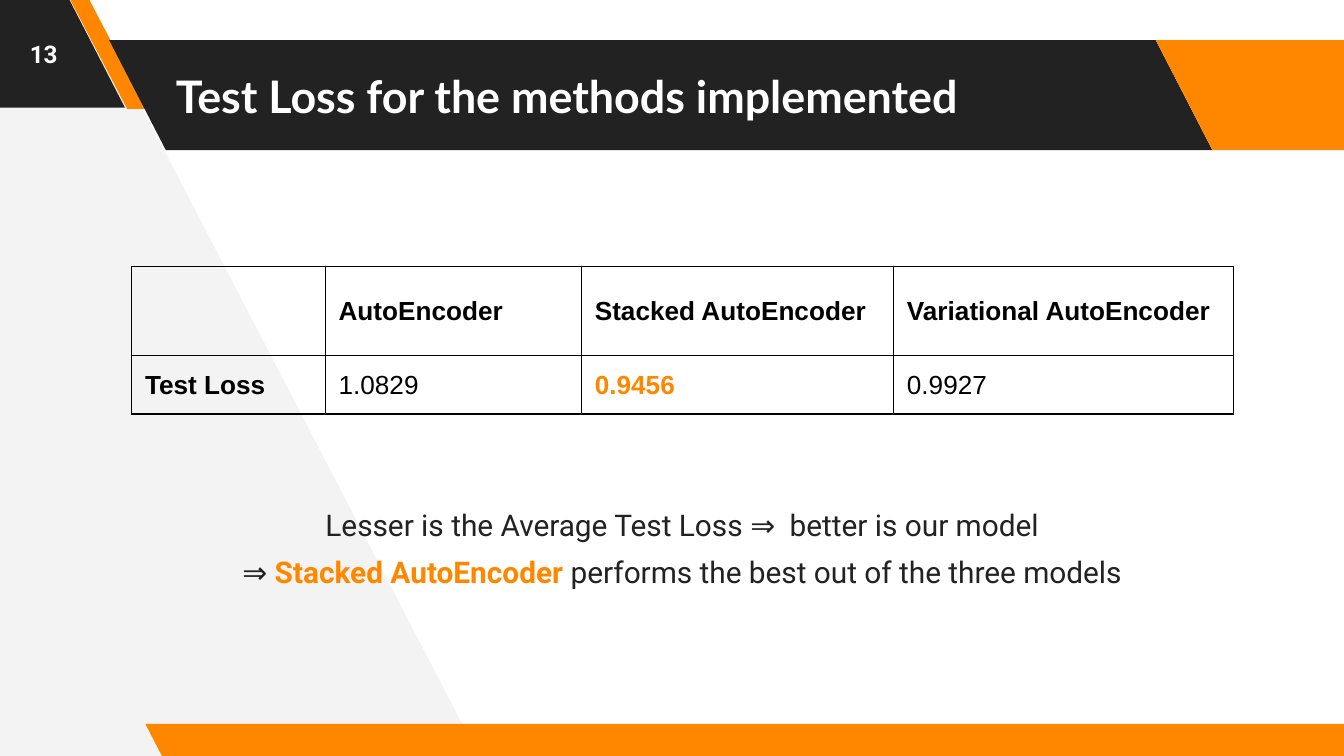
from dataclasses import dataclass

from lxml import etree
from pptx import Presentation
from pptx.dml.color import RGBColor
from pptx.enum.shapes import MSO_SHAPE
from pptx.enum.text import MSO_ANCHOR, PP_ALIGN
from pptx.oxml.ns import qn
from pptx.util import Pt

PARALLELOGRAM = MSO_SHAPE.PARALLELOGRAM
MIDDLE, TOP = MSO_ANCHOR.MIDDLE, MSO_ANCHOR.TOP
LEFT, CENTER = PP_ALIGN.LEFT, PP_ALIGN.CENTER

WHITE = RGBColor(0xFF, 0xFF, 0xFF)
BLACK = RGBColor(0, 0, 0)
PALE_GREY = RGBColor(0xF3, 0xF3, 0xF3)
CHARCOAL = RGBColor(0x22, 0x22, 0x22)
ORANGE = RGBColor(0xFF, 0x87, 0x00)

INSET = Pt(7.2)
BORDER_WIDTH = Pt(0.75)


@dataclass(frozen=True)
class Box:
    left: float
    top: float
    width: float
    height: float

    def lengths(self):
        return Pt(self.left), Pt(self.top), Pt(self.width), Pt(self.height)


@dataclass(frozen=True)
class Band:
    box: Box
    color: RGBColor
    slant: float = 0.515


@dataclass(frozen=True)
class Run:
    text: str
    color: RGBColor
    bold: bool = False


BACKDROP = [(256.3, 404.6), (44.6, -2.9), (-4.3, -2.9), (-1.4, 407.5)]
BANDS = [
    Band(Box(-71.3, -1.4, 138.2, 59), CHARCOAL),
    Band(Box(37.4, -0.7, 41, 59), ORANGE, 0.75),
    Band(Box(58.5, 21.5, 591, 59), CHARCOAL),
    Band(Box(619.2, 21.5, 138.2, 59), ORANGE),
    Band(Box(77.9, 387.8, 658.8, 18), ORANGE),
]

COLUMN_WIDTHS = [103.7, 137.3, 167.2, 182]
ROW_HEIGHTS = [48, 31]
TABLE_BOX = Box(70.5, 142.6, sum(COLUMN_WIDTHS), sum(ROW_HEIGHTS))
TABLE_ROWS = [
    [None, Run("AutoEncoder", BLACK, True), Run("Stacked AutoEncoder", BLACK, True),
     Run("Variational AutoEncoder", BLACK, True)],
    [Run("Test Loss", BLACK, True), Run("1.0829", BLACK), Run("0.9456", ORANGE, True),
     Run("0.9927", BLACK)],
]

CONCLUSION = [
    [Run("Lesser is the Average Test Loss ⇒  better is our model", CHARCOAL)],
    [Run("⇒ ", CHARCOAL), Run("Stacked AutoEncoder", ORANGE, True),
     Run(" performs the best out of the three models", CHARCOAL)],
]


def paint(shape, color: RGBColor) -> None:
    shape.shadow.inherit = False
    shape.fill.solid()
    shape.fill.fore_color.rgb = color
    shape.line.fill.background()


def add_backdrop(slide) -> None:
    points = [(Pt(x), Pt(y)) for x, y in BACKDROP]
    builder = slide.shapes.build_freeform(*points[0])
    builder.add_line_segments(points[1:], close=True)
    paint(builder.convert_to_shape(), PALE_GREY)


def add_band(slide, band: Band) -> None:
    """Draw a parallelogram that leans to the left."""
    shape = slide.shapes.add_shape(PARALLELOGRAM, *band.box.lengths())
    shape.adjustments[0] = band.slant
    shape.element.spPr.find(qn("a:xfrm")).set("flipH", "1")
    paint(shape, band.color)


def write_text(text_frame, lines: list[list[Run]], *, font: str, size: float,
               align=LEFT, space_before: float = 0) -> None:
    for index, runs in enumerate(lines):
        paragraph = text_frame.paragraphs[0] if index == 0 else text_frame.add_paragraph()
        paragraph.alignment = align
        paragraph.space_before = Pt(space_before)
        for item in runs:
            run = paragraph.add_run()
            run.text = item.text
            run.font.name = font
            run.font.size = Pt(size)
            run.font.bold = item.bold
            run.font.color.rgb = item.color


def add_text_box(slide, box: Box, lines: list[list[Run]], *, anchor=MIDDLE, **text_format) -> None:
    text_frame = slide.shapes.add_textbox(*box.lengths()).text_frame
    text_frame.word_wrap = True
    text_frame.vertical_anchor = anchor
    text_frame.margin_left = text_frame.margin_right = INSET
    text_frame.margin_top = text_frame.margin_bottom = INSET
    write_text(text_frame, lines, **text_format)


def add_borders(cell) -> None:
    properties = cell._tc.get_or_add_tcPr()
    for side in ("a:lnL", "a:lnR", "a:lnT", "a:lnB"):
        line = etree.SubElement(properties, qn(side), w=str(BORDER_WIDTH))
        fill = etree.SubElement(line, qn("a:solidFill"))
        etree.SubElement(fill, qn("a:srgbClr"), val=str(BLACK))


def add_loss_table(slide) -> None:
    table = slide.shapes.add_table(
        len(ROW_HEIGHTS), len(COLUMN_WIDTHS), *TABLE_BOX.lengths()).table
    table.first_row = table.horz_banding = False
    for column, width in zip(table.columns, COLUMN_WIDTHS):
        column.width = Pt(width)
    for row, height, values in zip(table.rows, ROW_HEIGHTS, TABLE_ROWS):
        row.height = Pt(height)
        for cell, value in zip(row.cells, values):
            add_borders(cell)
            cell.fill.background()
            cell.vertical_anchor = MIDDLE
            cell.margin_left = cell.margin_right = INSET
            cell.margin_top = cell.margin_bottom = INSET
            if value:
                write_text(cell.text_frame, [[value]], font="Arial", size=14)


def main() -> None:
    presentation = Presentation()
    presentation.slide_width, presentation.slide_height = Pt(720), Pt(405)
    slide = presentation.slides.add_slide(presentation.slide_layouts[6])

    add_backdrop(slide)
    for band in BANDS:
        add_band(slide, band)
    add_text_box(slide, Box(87.1, 21.5, 529.2, 59),
                 [[Run("Test Loss for the methods implemented", WHITE, True)]],
                 font="Lato", size=24)
    add_text_box(slide, Box(67, 264.2, 597, 72), CONCLUSION, anchor=TOP,
                 font="Roboto", size=16, align=CENTER, space_before=6)
    add_text_box(slide, Box(0, 0, 46.8, 57.6), [[Run("13", WHITE, True)]],
                 font="Roboto", size=13, align=CENTER)
    add_loss_table(slide)
    presentation.save("out.pptx")


if __name__ == "__main__":
    main()
